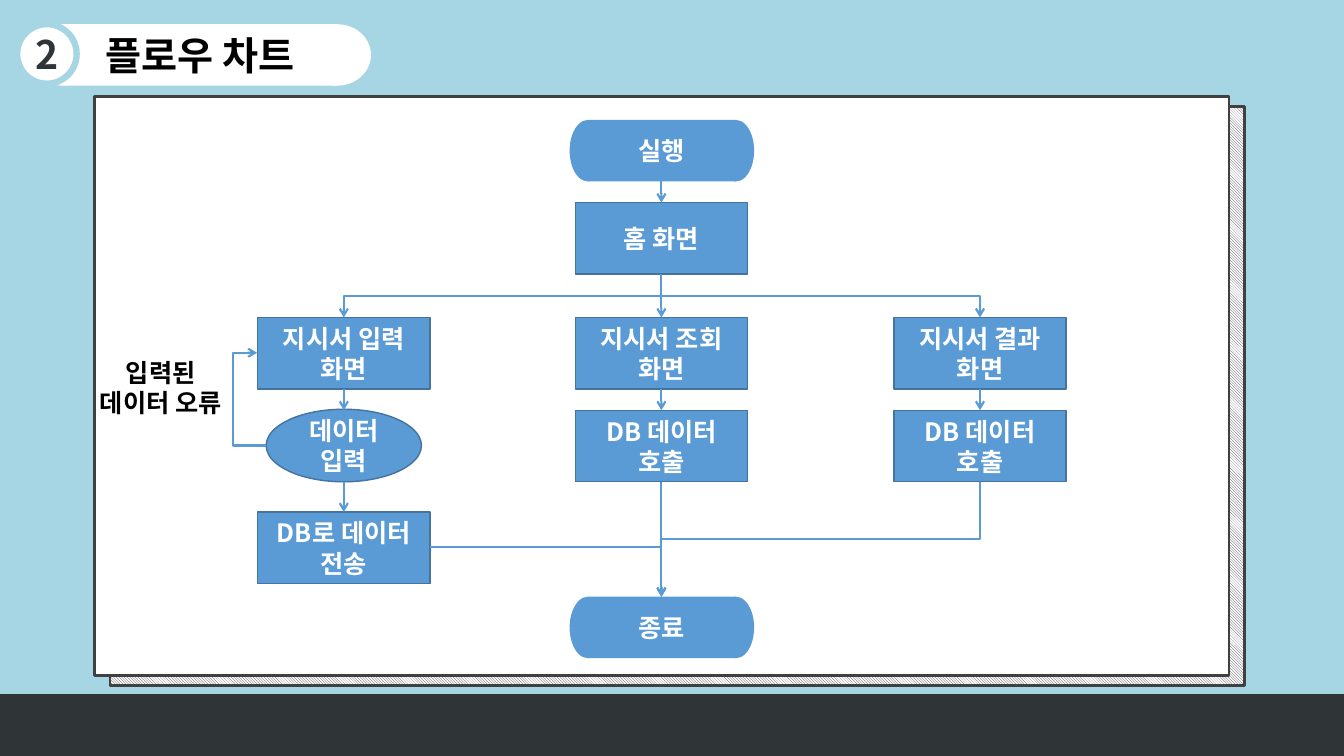
from pptx import Presentation
from pptx.dml.color import RGBColor
from pptx.enum.dml import MSO_PATTERN
from pptx.enum.shapes import MSO_CONNECTOR, MSO_SHAPE
from pptx.enum.text import MSO_ANCHOR, PP_ALIGN
from pptx.oxml.ns import qn
from pptx.util import Inches, Pt
from lxml.etree import SubElement

FONT = "Noto Sans CJK KR"
SKY = RGBColor(0xA6, 0xD5, 0xE3)
WHITE = RGBColor(0xFF, 0xFF, 0xFF)
BLACK = RGBColor(0x00, 0x00, 0x00)
DARK = RGBColor(0x2F, 0x34, 0x36)
GRAY = RGBColor(0x40, 0x40, 0x40)
BLUE = RGBColor(0x5B, 0x9B, 0xD5)
EDGE = RGBColor(0x43, 0x73, 0x9E)
RECT, OVAL = MSO_SHAPE.RECTANGLE, MSO_SHAPE.OVAL


def add_box(shapes, kind, at, text="", fill=BLUE, line=None, weight=1, size=18, color=WHITE):
    at = [Inches(v) for v in at]
    if kind is None:
        sp = shapes.add_textbox(*at)
    else:
        sp = shapes.add_shape(kind, *at)
        sp.shadow.inherit = False
        sp.fill.solid()
        sp.fill.fore_color.rgb = fill
        if line is None:
            sp.line.fill.background()
        else:
            sp.line.color.rgb = line
            sp.line.width = Pt(weight)
    if text:
        tf = sp.text_frame
        tf.word_wrap = kind is not None
        tf.vertical_anchor = MSO_ANCHOR.MIDDLE
        tf.text = text
        for p in tf.paragraphs:
            p.alignment = PP_ALIGN.CENTER
            font = p.runs[0].font
            font.size, font.bold = Pt(size), True
            font.color.rgb = color
            font.name = FONT
            SubElement(p.runs[0]._r.rPr, qn("a:ea"), typeface=FONT)
    return sp


def add_arrow(shapes, start, end, route="straight", adjust=None):
    (x1, y1), (x2, y2) = start, end
    kind = MSO_CONNECTOR.STRAIGHT if route == "straight" else MSO_CONNECTOR.ELBOW
    cxn = shapes.add_connector(kind, *[Inches(v) for v in (x1, y1, x2, y2)])
    cxn.line.color.rgb = BLUE
    cxn.line.width = Pt(1.5)
    SubElement(cxn.line._get_or_add_ln(), qn("a:tailEnd"), type="arrow")
    spPr = cxn._element.spPr
    SubElement(spPr, qn("a:effectLst"))
    geom = spPr.find(qn("a:prstGeom"))
    if route == "corner":
        geom.set("prst", "bentConnector2")
    if route == "down":
        w, h = y2 - y1, abs(x2 - x1)
        cxn.left, cxn.top = Inches((x1 + x2 - w) / 2), Inches((y1 + y2 - h) / 2)
        cxn.width, cxn.height = Inches(w), Inches(h)
        xfrm = spPr.find(qn("a:xfrm"))
        xfrm.set("rot", str((90 if x2 < x1 else 270) * 60000))
        xfrm.set("flipH", "0" if x2 < x1 else "1")
    if adjust is not None:
        guides = geom.find(qn("a:avLst"))
        if guides is None:
            guides = SubElement(geom, qn("a:avLst"))
        SubElement(guides, qn("a:gd"), name="adj1", fmla=f"val {round(adjust * 100000)}")


prs = Presentation()
prs.slide_width, prs.slide_height = Inches(13.33), Inches(7.5)
s = prs.slides.add_slide(prs.slide_layouts[6])
s.background.fill.solid()
s.background.fill.fore_color.rgb = SKY
shapes = s.shapes

hatch = add_box(shapes, RECT, (1.09, 1.06, 11.25, 5.74), line=GRAY, weight=2)
hatch.fill.patterned()
hatch.fill.pattern = MSO_PATTERN.DARK_DOWNWARD_DIAGONAL
hatch.fill.fore_color.rgb = GRAY
hatch.fill.back_color.rgb = WHITE
add_box(shapes, RECT, (0.94, 0.96, 11.25, 5.74), fill=WHITE, line=GRAY, weight=2)
add_box(shapes, RECT, (0, 6.89, 13.33, 0.61), fill=DARK, line=DARK)

pills = [
    ("플로우 차트", 0.29, 0.24, 3.39, 0.67, WHITE, BLACK, 28),
    ("실행", 5.65, 1.19, 1.83, 0.36, BLUE, WHITE, 18),
    ("종료", 5.65, 5.92, 1.83, 0.36, BLUE, WHITE, 18),
]
for text, x, y, w, cap, fill, color, size in pills:
    group = shapes.add_group_shape().shapes
    for cap_x in (x + w - cap, x):
        add_box(group, OVAL, (cap_x, y, cap, 0.61), fill=fill)
    add_box(group, RECT, (x + cap / 2, y, w - cap, 0.61), text, fill=fill, color=color, size=size)
add_box(shapes, OVAL, (0.17, 0.24, 0.59, 0.59), "2", fill=WHITE, line=SKY, weight=4.5,
        size=28, color=DARK)

LEFT, MID, RIGHT = 3.41, 6.56, 9.72
BOX_W, BOX_H = 1.71, 0.71
HOME, SCREEN, DATA, SEND, END = 2.01, 3.15, 4.07, 5.08, 5.92
steps = [
    ("홈 화면", MID, HOME),
    ("지시서 입력\n화면", LEFT, SCREEN),
    ("지시서 조회\n화면", MID, SCREEN),
    ("지시서 결과\n화면", RIGHT, SCREEN),
    ("DB로 데이터\n전송", LEFT, SEND),
    ("DB 데이터\n호출", MID, DATA),
    ("DB 데이터\n호출", RIGHT, DATA),
]
for text, x, y in steps:
    add_box(shapes, RECT, (x - BOX_W / 2, y, BOX_W, BOX_H), text, line=EDGE)
add_box(shapes, OVAL, (2.64, 4.06, 1.54, 0.72), "데이터 입력", line=EDGE)

add_arrow(shapes, (MID, 1.8), (MID, HOME))
for x in (LEFT, MID, RIGHT):
    add_arrow(shapes, (MID, HOME + BOX_H), (x, SCREEN), "straight" if x == MID else "down")
    add_arrow(shapes, (x, SCREEN + BOX_H), (x, DATA))
add_arrow(shapes, (LEFT, DATA + BOX_H), (LEFT, SEND))
add_arrow(shapes, (MID, DATA + BOX_H), (MID, END))
add_arrow(shapes, (RIGHT, DATA + BOX_H), (MID, END), "down")
add_arrow(shapes, (LEFT + BOX_W / 2, 5.43), (MID, END), "corner")
add_arrow(shapes, (2.64, 4.42), (2.55, 3.5), "side", adjust=0.33 / 0.09)

add_box(shapes, None, (0.88, 3.49, 1.43, 0.71), "입력된\n데이터 오류", color=BLACK)

prs.save("out.pptx")
